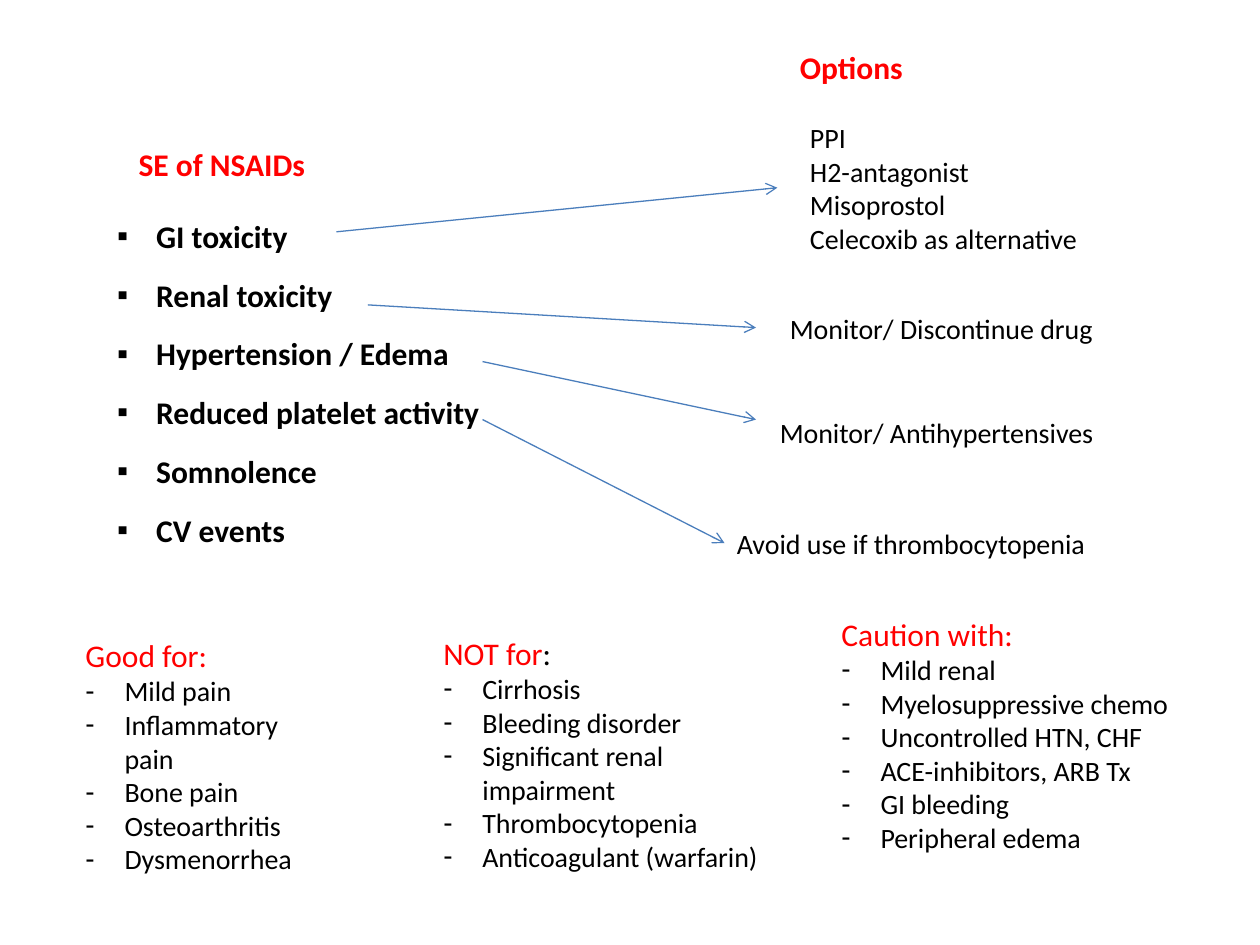
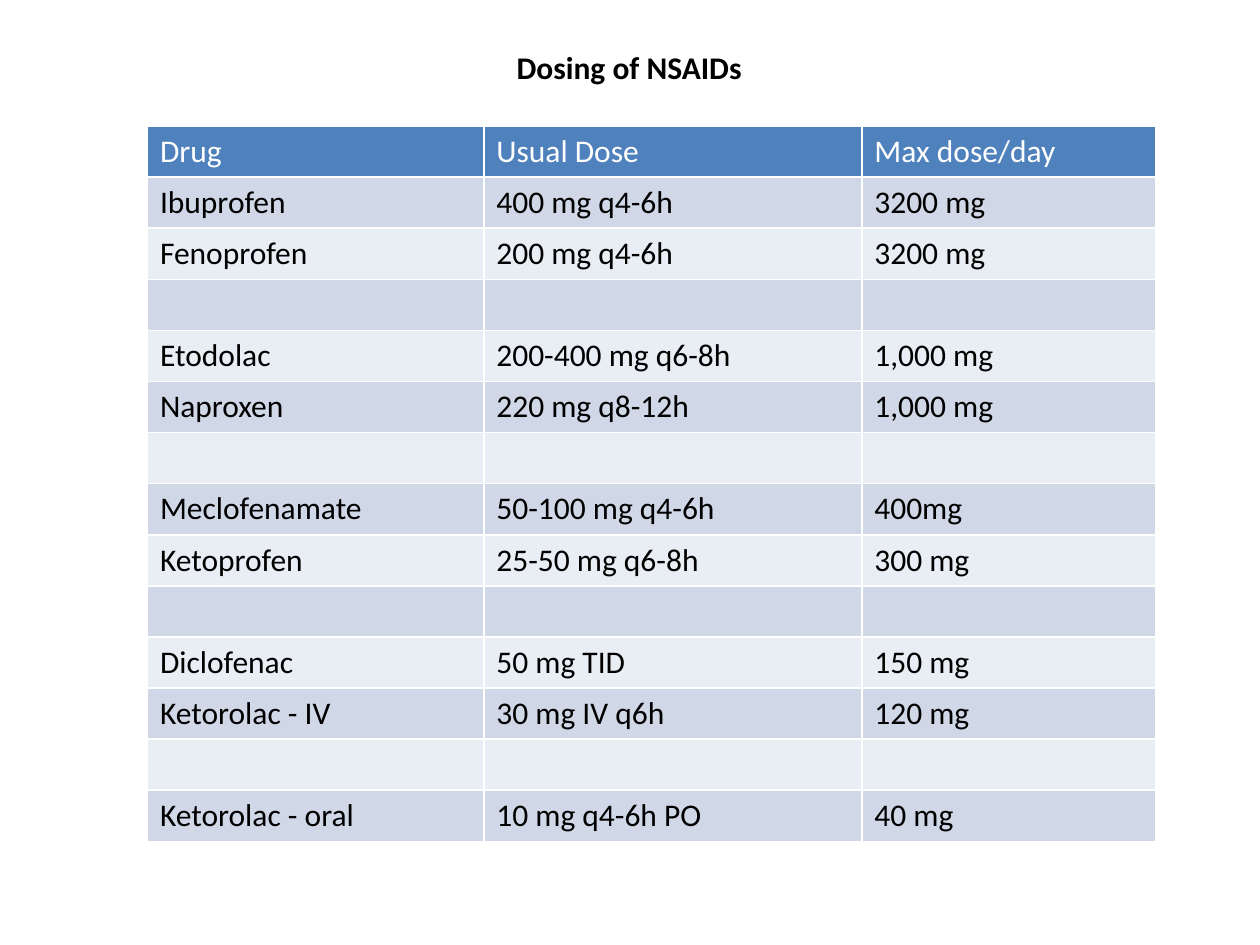
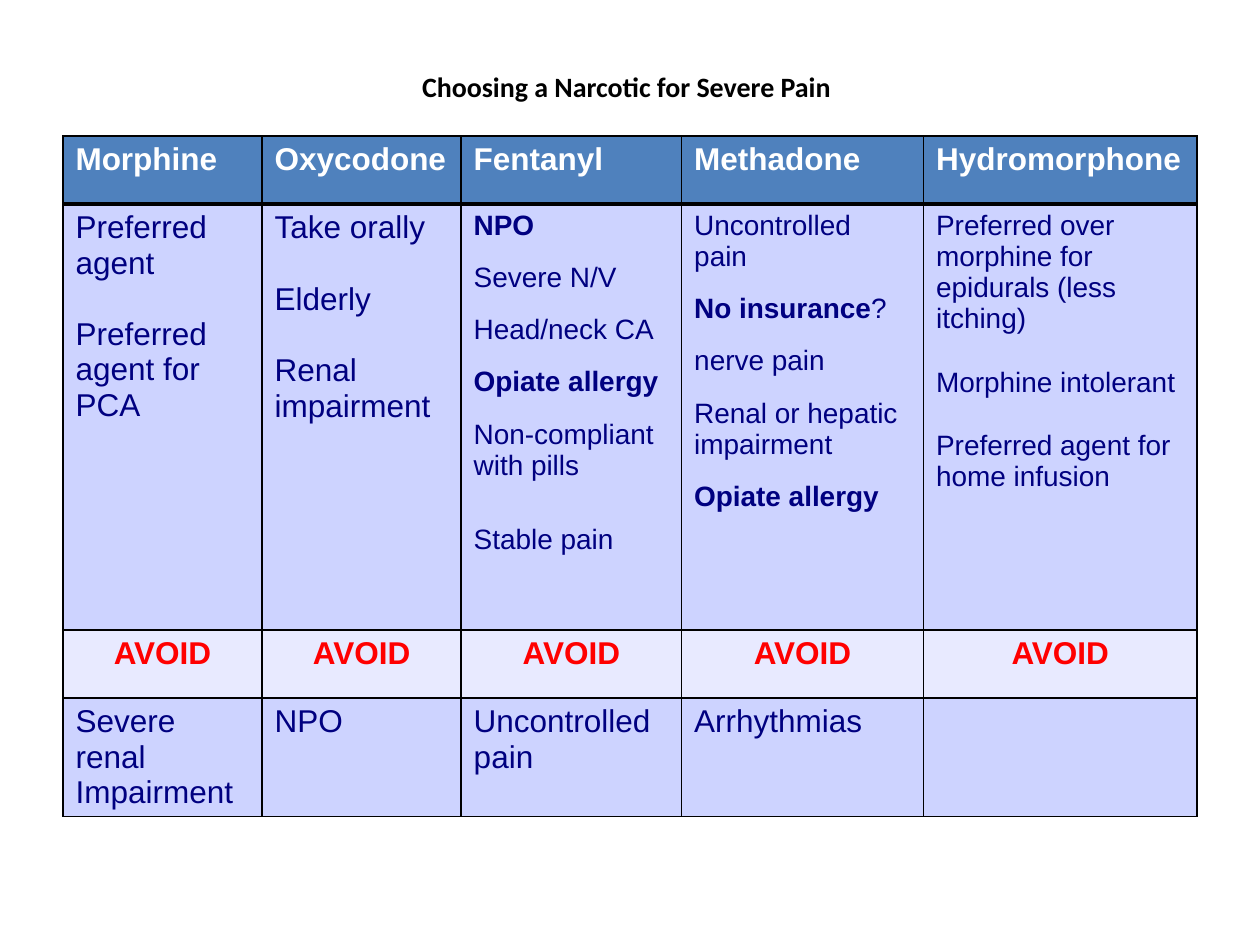
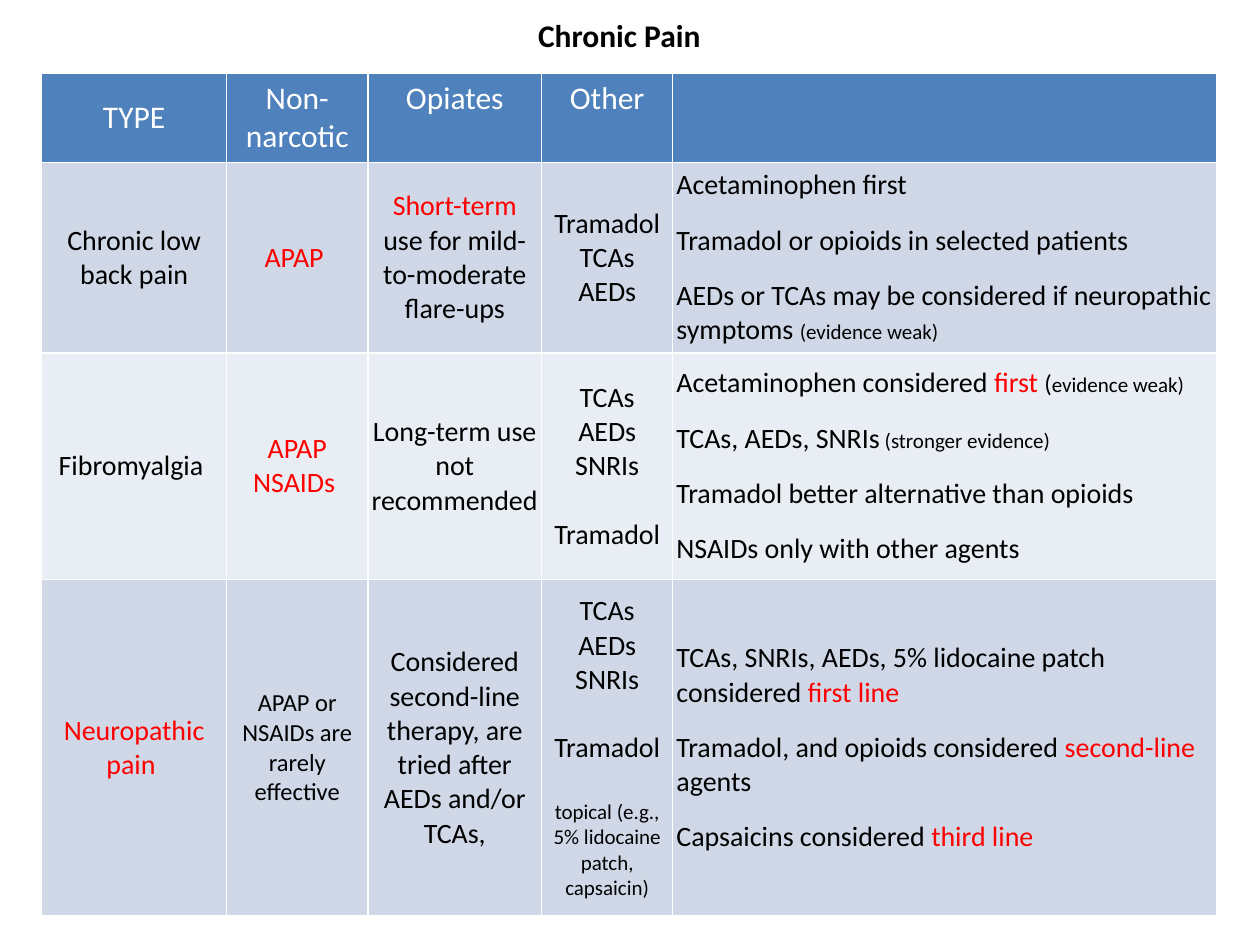
"""Build four slides on pain drugs: side effects, doses, narcotic choice and chronic pain."""
from lxml import etree
from pptx import Presentation
from pptx.dml.color import RGBColor
from pptx.enum.shapes import MSO_CONNECTOR
from pptx.enum.text import MSO_ANCHOR, MSO_AUTO_SIZE, PP_ALIGN
from pptx.oxml.ns import qn
from pptx.util import Inches, Pt

LEFT, CENTER = PP_ALIGN.LEFT, PP_ALIGN.CENTER
TOP, MIDDLE = MSO_ANCHOR.TOP, MSO_ANCHOR.MIDDLE
NO_FIT = MSO_AUTO_SIZE.NONE
STRAIGHT = MSO_CONNECTOR.STRAIGHT

BLACK, WHITE, RED, NAVY = "000000", "FFFFFF", "FF0000", "000080"
BLUE, ARROW = "4F81BD", "4B7EBC"
GRAY_BANDS = ("D0D8E8", "E9EDF4")
LILAC_BANDS = ("CDD3FF", "E8EAFF")
INDENT = 0.31

BASE = dict(font="Calibri", size=16, color=BLACK, bold=False, align=LEFT,
            before=0, after=0, anchor=TOP, inset=(0.1, 0.05))
TITLE = dict(size=18, bold=True)
HEAD = dict(size=18, color=WHITE)
SPACED = dict(before=6, after=6)


def red(text):
    return text, dict(color=RED)


def bold(text):
    return text, dict(bold=True)


def small(text, size=12):
    return text, dict(size=size)


def gap(points, text, **style):
    return dict(runs=[(text, style)], before=points)


EFFECTS = ["GI toxicity", "Renal toxicity", "Hypertension / Edema",
           "Reduced platelet activity", "Somnolence", "CV events"]
OPTIONS = [
    (6.33, 0.91, 2.42, 1.18, ["PPI", "H2-antagonist", "Misoprostol", "Celecoxib as alternative"]),
    (6.17, 2.42, 2.92, 0.37, ["Monitor/ Discontinue drug"]),
    (6.09, 3.25, 2.92, 0.37, ["Monitor/ Antihypertensives"]),
    (5.75, 4.13, 3.33, 0.37, ["Avoid use if thrombocytopenia"]),
]
ARROWS = [(2.67, 1.84, 6.17, 1.49), (2.92, 2.42, 6, 2.6),
          (3.83, 2.87, 6, 3.33), (3.83, 3.33, 5.75, 4.31)]
USES = [
    (0.58, 5, 2.08, [red("Good for:")],
     ["Mild pain", "Inflammatory pain", "Bone pain", "Osteoarthritis", "Dysmenorrhea"]),
    (3.42, 4.98, 2.75, [red("NOT for"), ":"],
     ["Cirrhosis", "Bleeding disorder", "Significant renal impairment",
      "Thrombocytopenia", "Anticoagulant (warfarin)"]),
    (6.58, 4.83, 3.25, [red("Caution with:")],
     ["Mild renal", "Myelosuppressive chemo", "Uncontrolled HTN, CHF",
      "ACE-inhibitors, ARB Tx", "GI bleeding", "Peripheral edema"]),
]

BLANK = ("", "", "")
DOSES = [
    ("Drug", "Usual Dose", "Max dose/day"),
    ("Ibuprofen", "400 mg q4-6h", "3200 mg"),
    ("Fenoprofen", "200 mg q4-6h", "3200 mg"),
    BLANK,
    ("Etodolac", "200-400 mg q6-8h", "1,000 mg"),
    ("Naproxen", "220 mg q8-12h", "1,000 mg"),
    BLANK,
    ("Meclofenamate", "50-100 mg q4-6h", "400mg"),
    ("Ketoprofen", "25-50 mg q6-8h", "300 mg"),
    BLANK,
    ("Diclofenac", "50 mg TID", "150 mg"),
    ("Ketorolac - IV", "30 mg IV q6h", "120 mg"),
    BLANK,
    ("Ketorolac - oral", "10 mg q4-6h PO", "40 mg"),
]

NARCOTICS = [
    ("Morphine", "Oxycodone", "Fentanyl", "Methadone", "Hydromorphone"),
    (["Preferred agent", gap(20.7, "Preferred agent for PCA")],
     ["Take orally", gap(20.7, "Elderly"), gap(20.7, "Renal impairment")],
     [[bold("NPO")], "Severe N/V", "Head/neck CA", [bold("Opiate allergy")],
      "Non-compliant with pills", gap(18.4, "Stable pain")],
     ["Uncontrolled pain", [bold("No insurance"), "?"], "nerve pain",
      "Renal or hepatic impairment", [bold("Opiate allergy")]],
     ["Preferred over morphine for epidurals (less itching)",
      gap(18.4, "Morphine intolerant"), gap(18.4, "Preferred agent for home infusion")]),
    ("AVOID",) * 5,
    (["Severe renal", "Impairment"], "NPO", "Uncontrolled pain", "Arrhythmias", ""),
]

CHRONIC = [
    ("TYPE", "Non-narcotic", "Opiates", "Other", ""),
    ("Chronic low back pain", [[red("APAP ")]],
     [[red("Short-term"), " use for mild-to-moderate flare-ups"]],
     ["Tramadol", "TCAs", "AEDs"],
     ["Acetaminophen first", "Tramadol or opioids in selected patients",
      ["AEDs or TCAs may be considered if neuropathic symptoms ", small("(evidence weak)")]]),
    ("Fibromyalgia ", [[red("APAP")], [red("NSAIDs ")]], "Long-term use not recommended",
     ["TCAs", "AEDs SNRIs", gap(19.5, "Tramadol")],
     [["Acetaminophen considered ", red("first "), small("(", 14), small("evidence weak)")],
      ["TCAs, AEDs, SNRIs", small(" (stronger evidence)")],
      "Tramadol better alternative than opioids", "NSAIDs only with other agents"]),
    ([[red("Neuropathic pain ")]],
     [[small("APAP or", 14)], [small("NSAIDs are rarely effective", 14)]],
     "Considered second-line therapy, are tried after AEDs and/or TCAs,",
     ["TCAs", "AEDs SNRIs", gap(19.5, "Tramadol"),
      gap(19.5, "topical (e.g., 5% lidocaine patch, capsaicin)", size=12)],
     [["TCAs, SNRIs, AEDs, 5% lidocaine patch considered ", red("first line")],
      ["Tramadol, and opioids considered ", red("second-line "), "agents"],
      ["Capsaicins considered ", red("third line")]]),
]


def dose_style(row, col):
    return HEAD if row == 0 else dict(size=18)


def drug_style(row, col):
    style = dict(font="Arial", size=18, color=NAVY)
    if row == 0:
        style.update(color=WHITE, bold=True)
    elif row == 2:
        style.update(color=RED, bold=True, align=CENTER)
    elif row == 1 and col > 1:
        style.update(size=16)
        if col < 4:
            style.update(SPACED)
    return style


def pain_style(row, col):
    if row == 0:
        first = dict(anchor=MIDDLE, inset=(0, 0)) if col == 0 else {}
        return HEAD | dict(align=CENTER) | first
    last = SPACED if col == 4 else dict(align=CENTER)
    return dict(anchor=MIDDLE, inset=(0.03, 0.03)) | last


def rgb(code):
    return RGBColor.from_string(code)


def add_runs(para, runs, style):
    for item in runs:
        text, extra = (item, {}) if isinstance(item, str) else item
        look = style | extra
        run = para.add_run()
        run.text = text
        run.font.name = look["font"]
        run.font.size = Pt(look["size"])
        run.font.bold = look["bold"]
        run.font.color.rgb = rgb(look["color"])


def add_bullet(para, mark):
    props = para._p.get_or_add_pPr()
    props.set("marL", str(Inches(INDENT)))
    props.set("indent", str(-Inches(INDENT)))
    etree.SubElement(props, qn("a:buFont")).set("typeface", "Arial")
    etree.SubElement(props, qn("a:buChar")).set("char", mark)


def write(frame, lines, style, mark=None, more=False):
    """Write lines, each a string, a list of runs or a gap, into a text frame."""
    style = BASE | style
    for num, line in enumerate(lines):
        para = frame.add_paragraph() if num or more else frame.paragraphs[0]
        before = style["before"]
        if isinstance(line, dict):
            before, line = line["before"], line["runs"]
        para.alignment = style["align"]
        para.space_before = Pt(before)
        para.space_after = Pt(style["after"])
        if mark:
            add_bullet(para, mark)
        add_runs(para, [line] if isinstance(line, str) else line, style)


def place(shape, left, top, width, height):
    shape.left, shape.top = Inches(left), Inches(top)
    shape.width, shape.height = Inches(width), Inches(height)
    frame = shape.text_frame
    frame.word_wrap = True
    frame.auto_size = NO_FIT
    frame.vertical_anchor = TOP
    return frame


def add_box(slide, *spot):
    return place(slide.shapes.add_textbox(0, 0, 0, 0), *spot)


def add_slide(deck, layout, title, spot, **style):
    slide = deck.slides.add_slide(deck.slide_layouts[layout])
    write(place(slide.shapes.title, *spot), [title], TITLE | style)
    return slide


def add_arrow(slide, *ends):
    line = slide.shapes.add_connector(STRAIGHT, *map(Inches, ends))
    line.line.color.rgb = rgb(ARROW)
    line.line.width = Pt(0.75)
    etree.SubElement(line.line._get_or_add_ln(), qn("a:tailEnd")).set("type", "arrow")
    etree.SubElement(line._element.spPr, qn("a:effectLst"))


def add_edge(cell, side, color, width):
    edge = etree.SubElement(cell._tc.get_or_add_tcPr(), qn(f"a:ln{side}"), w=str(Pt(width)))
    fill = etree.SubElement(edge, qn("a:solidFill"))
    etree.SubElement(fill, qn("a:srgbClr")).set("val", color)


def add_grid(slide, left, top, cols, rows, data, look, bands, edge, rule=1):
    """Add a table whose header rule is as thick as given."""
    size = map(Inches, (left, top, sum(cols), sum(rows)))
    table = slide.shapes.add_table(len(rows), len(cols), *size).table
    table.horz_banding = False
    for col, width in zip(table.columns, cols):
        col.width = Inches(width)
    for row, height in zip(table.rows, rows):
        row.height = Inches(height)
    for r, texts in enumerate(data):
        for c, text in enumerate(texts):
            cell, style = table.cell(r, c), BASE | look(r, c)
            for side in "LRTB":
                ruled = (r, side) in ((0, "B"), (1, "T"))
                add_edge(cell, side, edge, rule if ruled else 1)
            cell.fill.solid()
            cell.fill.fore_color.rgb = rgb(bands[(r - 1) % 2] if r else BLUE)
            wide, high = map(Inches, style["inset"])
            cell.margin_left = cell.margin_right = wide
            cell.margin_top = cell.margin_bottom = high
            cell.vertical_anchor = style["anchor"]
            if text:
                write(cell.text_frame, [text] if isinstance(text, str) else text, style)


def add_effects(deck):
    slide = add_slide(deck, 1, "SE of NSAIDs", (1, 1.1, 1.67, 0.4), color=RED)
    body = place(slide.placeholders[1], 0.83, 1.67, 3.33, 2.83)
    write(body, EFFECTS, TITLE | dict(before=12), "▪")
    write(add_box(slide, 6.25, 0.33, 1.08, 0.4), ["Options"], TITLE | dict(color=RED))
    for *spot, lines in OPTIONS:
        write(add_box(slide, *spot), lines, {})
    for ends in ARROWS:
        add_arrow(slide, *ends)
    for *spot, head, items in USES:
        frame = add_box(slide, *spot, 2.02)
        write(frame, [head], dict(size=18))
        write(frame, items, {}, "-", more=True)


def main():
    deck = Presentation()
    deck.slide_width, deck.slide_height = Inches(10), Inches(7.5)
    add_effects(deck)
    slide = add_slide(deck, 5, "Dosing of NSAIDs", (4, 0.33, 2.08, 0.4))
    add_grid(slide, 1.17, 1, (2.67, 3, 2.33), [5.68 / len(DOSES)] * len(DOSES),
             DOSES, dose_style, GRAY_BANDS, WHITE)
    slide = add_slide(deck, 5, "Choosing a Narcotic for Severe Pain", (3.25, 0.5, 3.5, 0.37), size=16)
    add_grid(slide, 0.5, 1.08, (1.58, 1.58, 1.75, 1.92, 2.17), (0.54, 3.38, 0.54, 0.93),
             NARCOTICS, drug_style, LILAC_BANDS, BLACK, 3)
    slide = add_slide(deck, 5, "Chronic Pain", (4.17, 0.08, 1.58, 0.4))
    add_grid(slide, 0.33, 0.58, (1.47, 1.12, 1.38, 1.04, 4.32), (0.71, 1.51, 1.8, 2.67),
             CHRONIC, pain_style, GRAY_BANDS, WHITE)
    deck.save("out.pptx")


if __name__ == "__main__":
    main()
